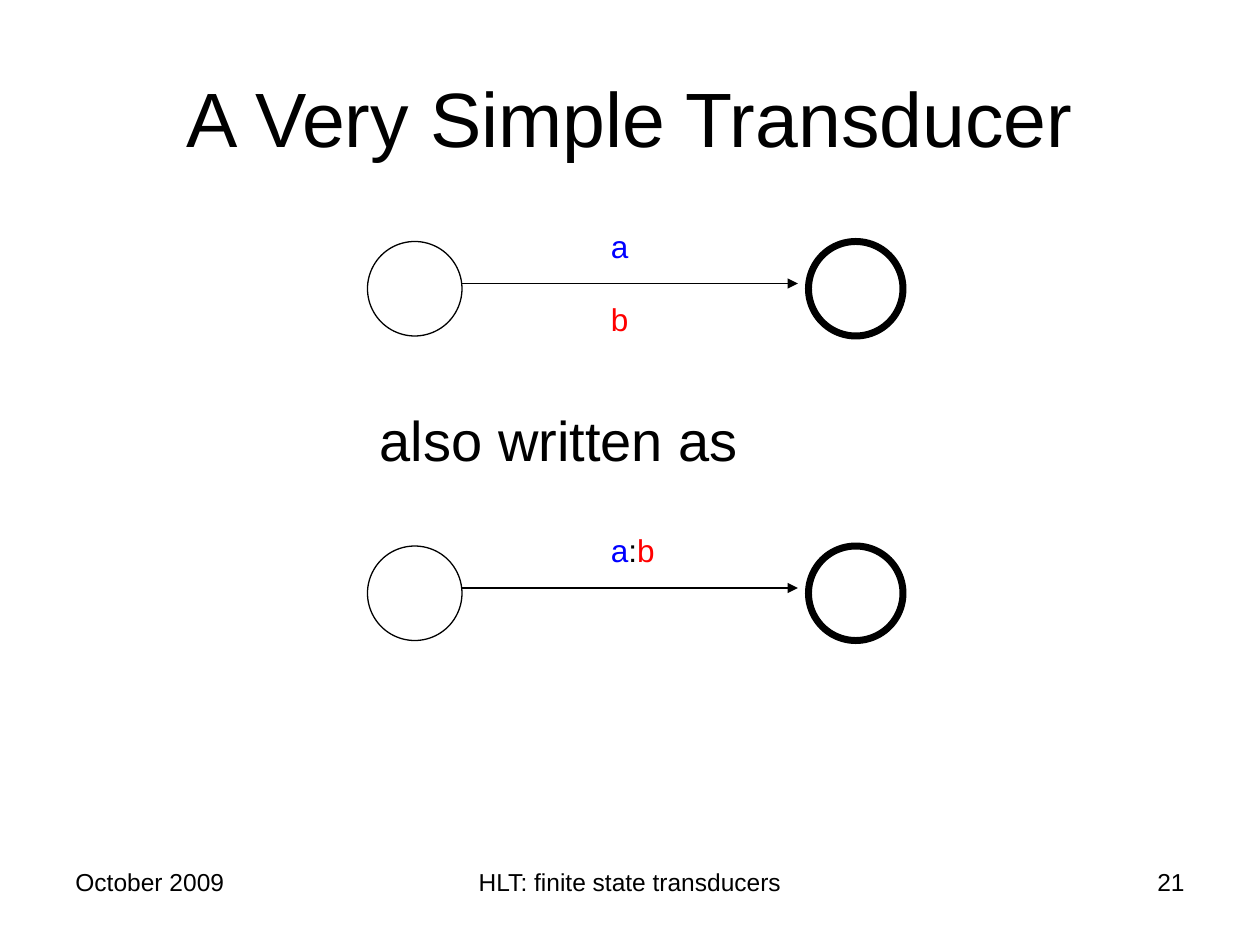
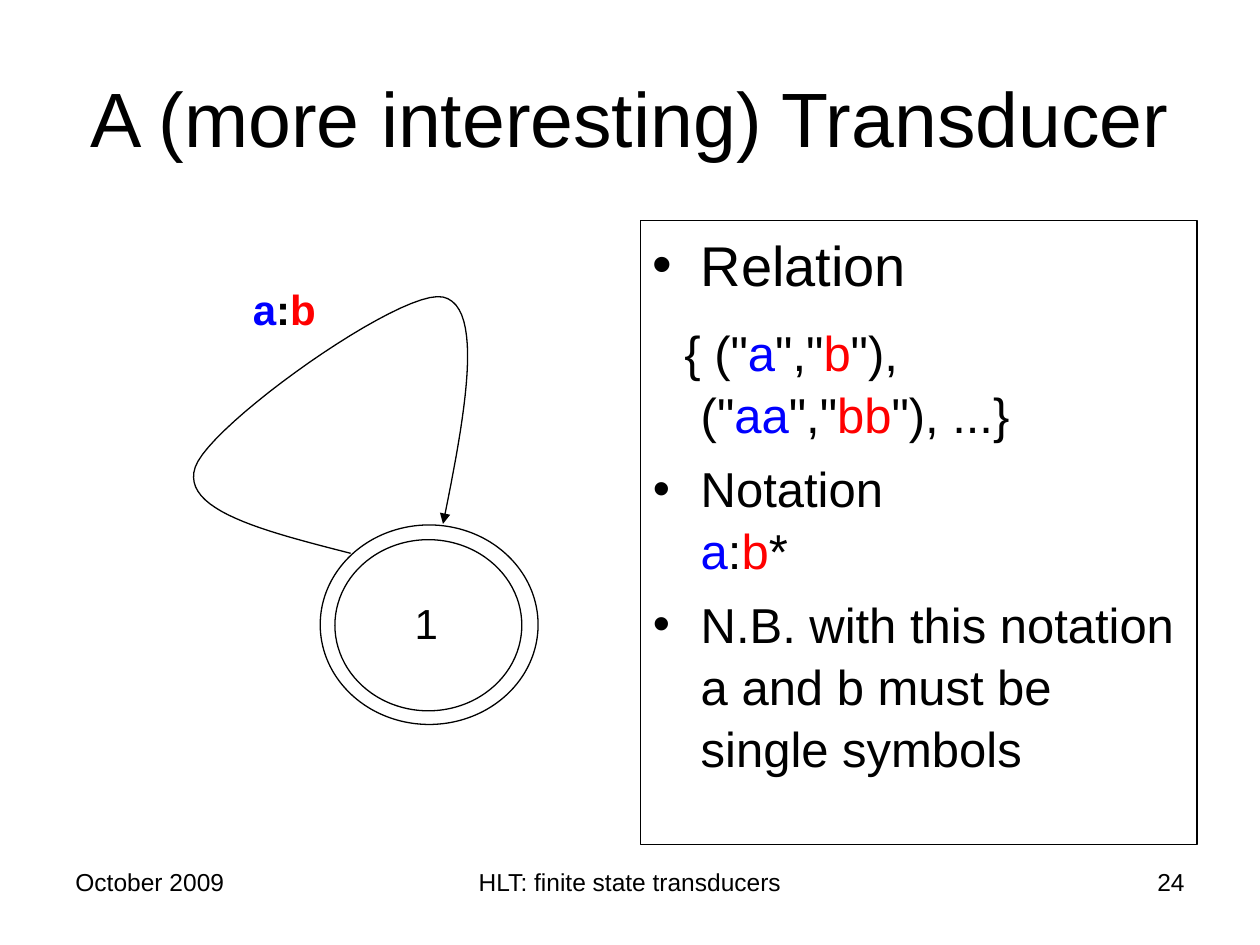
from lxml.etree import SubElement
from pptx import Presentation
from pptx.dml.color import RGBColor
from pptx.enum.shapes import MSO_CONNECTOR, MSO_SHAPE
from pptx.enum.text import MSO_ANCHOR, PP_ALIGN
from pptx.oxml.ns import qn
from pptx.util import Inches, Pt

# Grid of 120 columns by 90 rows on a 10 x 7.5 inch slide
WIDE, HIGH = Inches(10), Inches(7.5)
CELL = WIDE / 120
FONT = "Arial"
BLACK, BLUE, RED = "000000", "0000FF", "FF0000"
PAIR = [("a", BLUE), (":", BLACK), ("b", RED)]


def grid(*cells):
    return [round(cell * CELL) for cell in cells]


def color(code):
    return RGBColor.from_string(code)


def write(para, spans, size, bold=False):
    """Fill a paragraph with (text, colour) spans; None breaks the line."""
    para.font.name, para.font.size, para.font.bold = FONT, Pt(size), bold
    for span in spans:
        if span is None:
            para.add_line_break()
            continue
        run = para.add_run()
        run.text = span[0]
        run.font.color.rgb = color(span[1])


def label(slide, box, spans, size, align=PP_ALIGN.LEFT, wrap=False, bold=False):
    frame = slide.shapes.add_textbox(*grid(*box)).text_frame
    frame.word_wrap = wrap
    para = frame.paragraphs[0]
    para.alignment = align
    write(para, spans, size, bold)
    return frame


def outline(shape, width=0.75):
    shape.shadow.inherit = False
    shape.fill.background()
    shape.line.color.rgb = color(BLACK)
    shape.line.width = Pt(width)


def state(slide, box, width=0.75):
    outline(slide.shapes.add_shape(MSO_SHAPE.OVAL, *grid(*box)), width)


def tip(shape):
    """Put an arrowhead at the end of a line."""
    SubElement(shape.line._get_or_add_ln(), qn("a:tailEnd"), type="triangle")


def base(deck, title, number):
    """Blank slide with the shared title and footer."""
    slide = deck.slides.add_slide(deck.slide_layouts[6])
    feet = [(6, 28, "October 2009", PP_ALIGN.LEFT),
            (41, 38, "HLT: finite state transducers", PP_ALIGN.CENTER),
            (86, 28, str(number), PP_ALIGN.RIGHT)]
    for left, width, text, align in feet:
        label(slide, (left, 82, width, 6.2), [(text, BLACK)], 14, align, True)
    head = label(slide, (6, 3.6, 108, 15), [(title, BLACK)], 44,
                 PP_ALIGN.CENTER, True)
    head.vertical_anchor = MSO_ANCHOR.MIDDLE
    return slide


def step(slide, left, top, above, below=None):
    """Start state, arrow with labels, final state."""
    state(slide, (left, top, 9, 9))
    state(slide, (left + 42, top, 9, 9), 4)
    arrow = slide.shapes.add_connector(
        MSO_CONNECTOR.STRAIGHT,
        *grid(left + 9, top + 4, left + 41, top + 4))
    arrow.line.color.rgb = color(BLACK)
    arrow.line.width = Pt(0.75)
    tip(arrow)
    SubElement(arrow._element.spPr, qn("a:effectLst"))
    for row, spans in ((-2, above), (5, below)):
        if spans:
            width = 2.4 + 1.4 * len(spans)
            label(slide, (left + 22, top + row, width, 4.8), spans, 18)


def bezier(start, one, two, end, count=24):
    """Points along a cubic curve, without its start."""
    for i in range(1, count + 1):
        t = i / count
        s = 1 - t
        yield tuple(s**3 * a + 3 * s * s * t * b + 3 * s * t * t * c + t**3 * d
                    for a, b, c, d in zip(start, one, two, end))


def loop(slide, left, top):
    """Double-ringed state with an arrow back to itself."""
    state(slide, (left + 14.9, top + 25.4, 17.8, 16.3))
    state(slide, (left + 13.5, top + 24, 20.75, 19))
    label(slide, (left + 21.3, top + 30.3, 4.5, 6), [("1", BLACK)], 24)
    # Each row: two handles and an end point
    curves = [[(8.2, 24.6), (0.2, 22.6), (1.6, 18.5)],
              [(3, 14.4), (21.3, 1.4), (25.2, 2.3)],
              [(29.2, 3.2), (27.3, 13.6), (25.2, 23.9)]]
    dots = [(16.4, 26.7)]
    for curve in curves:
        dots += bezier(dots[-1], *curve)
    dots = [grid(left + x, top + y) for x, y in dots]
    path = slide.shapes.build_freeform(*dots[0])
    path.add_line_segments(dots[1:], close=False)
    arc = path.convert_to_shape()
    outline(arc)
    tip(arc)
    label(slide, (left + 5.9, top + 0.4, 8.4, 6), PAIR, 24, bold=True)


def notes(slide, box, items):
    """Framed list; items are (spans, size, space before, bullet)."""
    panel = slide.shapes.add_shape(MSO_SHAPE.RECTANGLE, *grid(*box))
    outline(panel)
    frame = panel.text_frame
    frame.word_wrap = True
    frame.vertical_anchor = MSO_ANCHOR.TOP
    for i, (spans, size, space, bullet) in enumerate(items):
        para = frame.add_paragraph() if i else frame.paragraphs[0]
        para.alignment = PP_ALIGN.LEFT
        para.space_before = Pt(space)
        para.line_spacing = 1.05
        props = para._p.get_or_add_pPr()
        props.set("marL", str(Inches(0.38)))
        props.set("indent", str(-Inches(0.38 if bullet else 0.13)))
        if bullet:
            ink = SubElement(props, qn("a:buClr"))
            SubElement(ink, qn("a:srgbClr"), val=BLACK)
            SubElement(props, qn("a:buFont"), typeface=FONT)
            SubElement(props, qn("a:buChar"), char="•")
        write(para, spans, size)


def main():
    deck = Presentation()
    deck.slide_width, deck.slide_height = WIDE, HIGH

    # One transition in two notations
    slide = base(deck, "A Very Simple Transducer", 21)
    step(slide, 35, 23, PAIR[:1], PAIR[2:])
    step(slide, 35, 52, PAIR)
    label(slide, (35, 38, 36.5, 7.7), [("also written as", BLACK)], 32)

    # Loop and the relation it defines
    slide = base(deck, "A (more interesting) Transducer", 24)
    pairs = [('{ ("', BLACK), ("a", BLUE), ('","', BLACK), ("b", RED),
             ('"), ("', BLACK), ("aa", BLUE), ('","', BLACK), ("bb", RED),
             ('"), ...}', BLACK)]
    remark = "N.B. with this notation a and b must be single symbols"
    notes(slide, (61, 21, 53, 59.4), [
        ([("Relation", BLACK)], 32, 8, True),
        (pairs, 28, 13, False),
        ([("Notation", BLACK), None, *PAIR, ("*", BLACK)], 28, 7, True),
        ([(remark, BLACK)], 28, 7, True)])
    loop(slide, 17, 26)
    deck.save("out.pptx")


if __name__ == "__main__":
    main()
